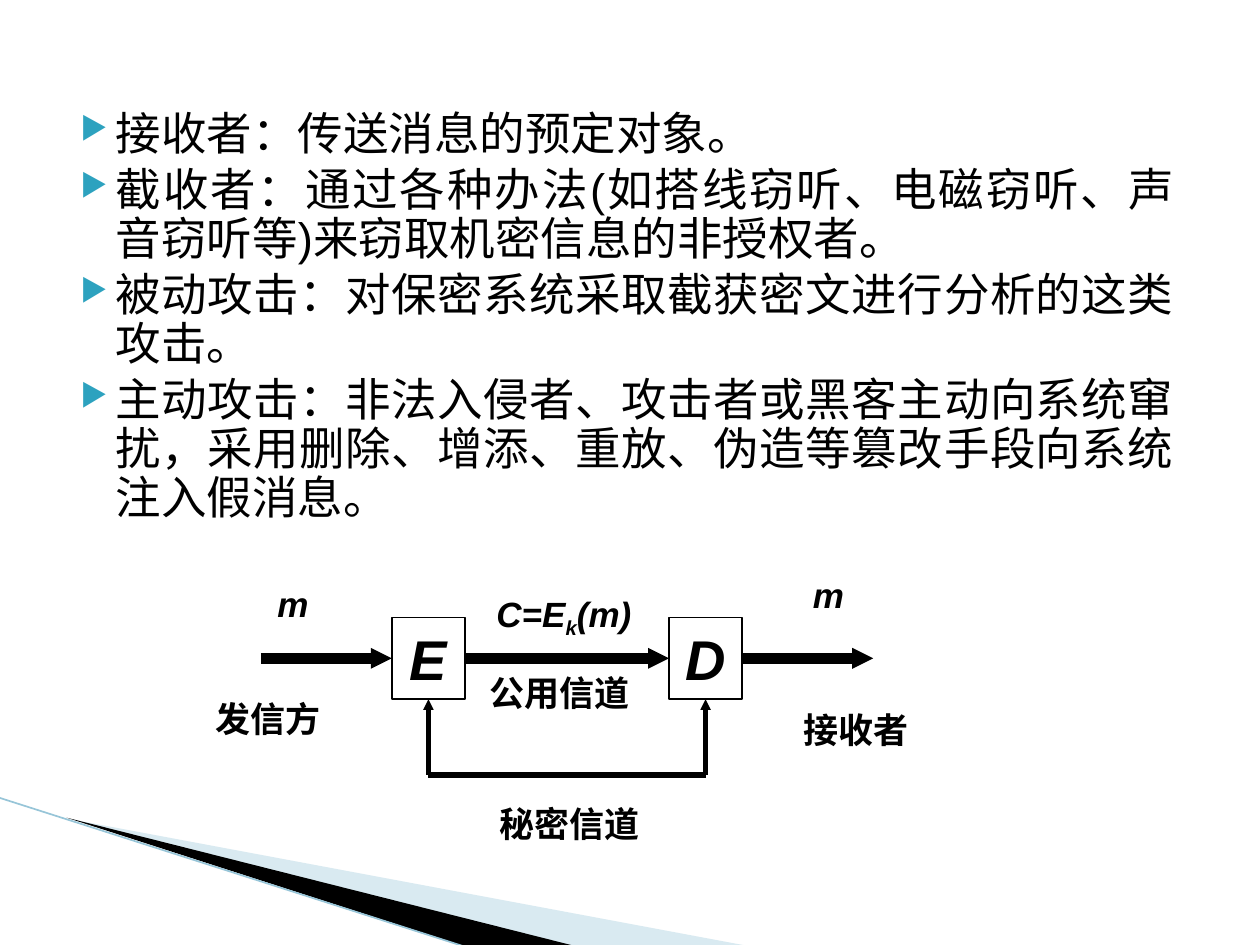
from lxml import etree
from pptx import Presentation
from pptx.dml.color import RGBColor
from pptx.enum.shapes import MSO_CONNECTOR, MSO_SHAPE
from pptx.enum.text import MSO_ANCHOR, PP_ALIGN
from pptx.oxml.ns import qn
from pptx.util import Inches, Pt

STRAIGHT = MSO_CONNECTOR.STRAIGHT
RECTANGLE = MSO_SHAPE.RECTANGLE
MIDDLE = MSO_ANCHOR.MIDDLE
CENTER = PP_ALIGN.CENTER
JUSTIFY = PP_ALIGN.JUSTIFY
LEFT_SIDE, BOTTOM_SIDE, RIGHT_SIDE = 1, 2, 3
LATIN_FONT = "Arial"
CHINESE_FONT = "Noto Sans CJK SC"
COLORS = {
    "ink": "000000",
    "bullet": "2DA2BF",
    "pale_wedge": "A0CBDC",
    "edge": "97C5D8",
}
DEFINITIONS = [
    "接收者：传送消息的预定对象。",
    "截收者：通过各种办法(如搭线窃听、电磁窃听、声音窃听等)来窃取机密信息的非授权者。",
    "被动攻击：对保密系统采取截获密文进行分析的这类攻击。",
    "主动攻击：非法入侵者、攻击者或黑客主动向系统窜扰，采用删除、增添、重放、伪造等篡改手段向系统注入假消息。",
]
CHANNEL_LABELS = [
    ("公用信道", 3.78, 5.28, 1.32),
    ("秘密信道", 3.86, 6.32, 1.32),
    ("发信方", 1.61, 5.49, 1.04),
    ("接收者", 6.27, 5.57, 1.05),
]
BOX_TOP, BOX_WIDTH, BOX_HEIGHT = 4.9, 0.58, 0.65
ENCODER_LEFT, DECODER_LEFT = 3.11, 5.31
FLOW_Y = BOX_TOP + BOX_HEIGHT / 2
KEY_Y = 6.15


def color(name):
    """Return the named color."""
    return RGBColor.from_string(COLORS[name])


def add_element(parent, tag, **attributes):
    """Append a DrawingML element and return it."""
    return etree.SubElement(parent, qn(tag), attributes)


def format_run(run, size, font=LATIN_FONT, bold=False, italic=False):
    """Set the font of a run for Latin and Chinese text."""
    run.font.name = font
    run.font.size = Pt(size)
    run.font.bold = bold
    run.font.italic = italic
    run.font.color.rgb = color("ink")
    add_element(run.font._element, "a:ea", typeface=CHINESE_FONT)


def add_wedge(slide, points, fill, opacity=None):
    """Draw a filled corner wedge through the given points."""
    builder = slide.shapes.build_freeform(*map(Inches, points[0]))
    builder.add_line_segments([tuple(map(Inches, point)) for point in points[1:]])
    wedge = builder.convert_to_shape()
    wedge.shadow.inherit = False
    wedge.line.fill.background()
    wedge.fill.solid()
    wedge.fill.fore_color.rgb = color(fill)
    if opacity:
        fill_color = wedge._element.spPr.find(".//" + qn("a:srgbClr"))
        add_element(fill_color, "a:alpha", val=str(opacity * 1000))


def add_line(slide, start, end, width, line_color="ink", arrow=True):
    """Draw a straight line with an optional arrowhead at its end."""
    line = slide.shapes.add_connector(STRAIGHT, *map(Inches, start + end))
    line.line.width = Pt(width)
    line.line.color.rgb = color(line_color)
    if arrow:
        add_element(line.line._get_or_add_ln(), "a:tailEnd",
                    type="triangle", w="sm", len="sm")
    add_element(line._element.spPr, "a:effectLst")
    return line


def add_bullet(paragraph):
    """Give a paragraph a hanging triangle bullet."""
    properties = paragraph._p.get_or_add_pPr()
    properties.set("marL", str(Inches(0.4)))
    properties.set("indent", str(Inches(-0.28)))
    bullet_color = add_element(properties, "a:buClr")
    add_element(bullet_color, "a:srgbClr", val=COLORS["bullet"])
    add_element(properties, "a:buSzPct", val="68000")
    add_element(properties, "a:buChar", char="▶")


def add_definitions(slide):
    """Add the bulleted list of definitions."""
    body = slide.shapes.add_textbox(Inches(0.42), Inches(0.83), Inches(9), Inches(4.29))
    text_frame = body.text_frame
    text_frame.word_wrap = True
    text_frame.text = "\n".join(DEFINITIONS)
    for paragraph in text_frame.paragraphs:
        paragraph.alignment = JUSTIFY
        paragraph.line_spacing = 0.9
        paragraph.space_before = Pt(4)
        add_bullet(paragraph)
        format_run(paragraph.runs[0], 26)


def add_box(slide, letter, left):
    """Add an outlined box holding one letter."""
    box = slide.shapes.add_shape(RECTANGLE, Inches(left), Inches(BOX_TOP),
                                 Inches(BOX_WIDTH), Inches(BOX_HEIGHT))
    box.shadow.inherit = False
    box.fill.background()
    box.line.color.rgb = color("ink")
    box.line.width = Pt(1)
    text_frame = box.text_frame
    text_frame.text = letter
    text_frame.vertical_anchor = MIDDLE
    paragraph = text_frame.paragraphs[0]
    paragraph.alignment = CENTER
    format_run(paragraph.runs[0], 32, bold=True, italic=True)
    return box


def add_label(slide, parts, left, top, width, font=LATIN_FONT, italic=False):
    """Add a centred bold label made of text parts and return its runs."""
    label = slide.shapes.add_textbox(Inches(left), Inches(top), Inches(width), Inches(0.44))
    label.text_frame.word_wrap = False
    paragraph = label.text_frame.paragraphs[0]
    paragraph.alignment = CENTER
    for part in parts:
        run = paragraph.add_run()
        run.text = part
        format_run(run, 20, font, bold=True, italic=italic)
    return paragraph.runs


def add_corner(slide):
    """Draw the decoration in the lower left corner."""
    add_wedge(slide, [(0.55, 6.5), (5.95, 7.51), (4.56, 7.51)], "pale_wedge", 40)
    add_wedge(slide, [(0.53, 6.49), (4.57, 7.51), (3.72, 7.52)], "ink")
    add_line(slide, (-0.01, 6.33), (3.71, 7.52), 0.95, "edge", arrow=False)


def add_cipher_diagram(slide):
    """Draw the sender, cipher boxes, receiver and channels."""
    encoder = add_box(slide, "E", ENCODER_LEFT)
    decoder = add_box(slide, "D", DECODER_LEFT)
    encoder_right = ENCODER_LEFT + BOX_WIDTH
    decoder_right = DECODER_LEFT + BOX_WIDTH

    message_in = add_line(slide, (ENCODER_LEFT - 1.04, FLOW_Y), (ENCODER_LEFT, FLOW_Y), 6)
    message_in.end_connect(encoder, LEFT_SIDE)
    public_channel = add_line(slide, (encoder_right, FLOW_Y), (DECODER_LEFT, FLOW_Y), 6)
    public_channel.begin_connect(encoder, RIGHT_SIDE)
    public_channel.end_connect(decoder, LEFT_SIDE)
    message_out = add_line(slide, (decoder_right, FLOW_Y), (decoder_right + 1.04, FLOW_Y), 6)
    message_out.begin_connect(decoder, RIGHT_SIDE)

    key_ends = [left + BOX_WIDTH / 2 for left in (ENCODER_LEFT, DECODER_LEFT)]
    for box, x in zip((encoder, decoder), key_ends):
        key_arrow = add_line(slide, (x, KEY_Y), (x, BOX_TOP + BOX_HEIGHT), 3)
        key_arrow.end_connect(box, BOTTOM_SIDE)
    add_line(slide, (key_ends[0], KEY_Y), (key_ends[1], KEY_Y), 3, arrow=False)

    formula = add_label(slide, ["C=E", "k", "(m)"], 3.83, 4.65, 1.29, italic=True)
    formula[1].font._element.set("baseline", "-25000")
    for left, top in ((6.35, 4.5), (2.1, 4.57)):
        add_label(slide, ["m"], left, top, 0.45, italic=True)
    for text, left, top, width in CHANNEL_LABELS:
        add_label(slide, [text], left, top, width, CHINESE_FONT)


def main():
    """Build the slide and save it."""
    presentation = Presentation()
    presentation.slide_width = Inches(10)
    presentation.slide_height = Inches(7.5)
    slide = presentation.slides.add_slide(presentation.slide_layouts[6])
    add_corner(slide)
    add_definitions(slide)
    add_cipher_diagram(slide)
    presentation.save("out.pptx")


if __name__ == "__main__":
    main()
